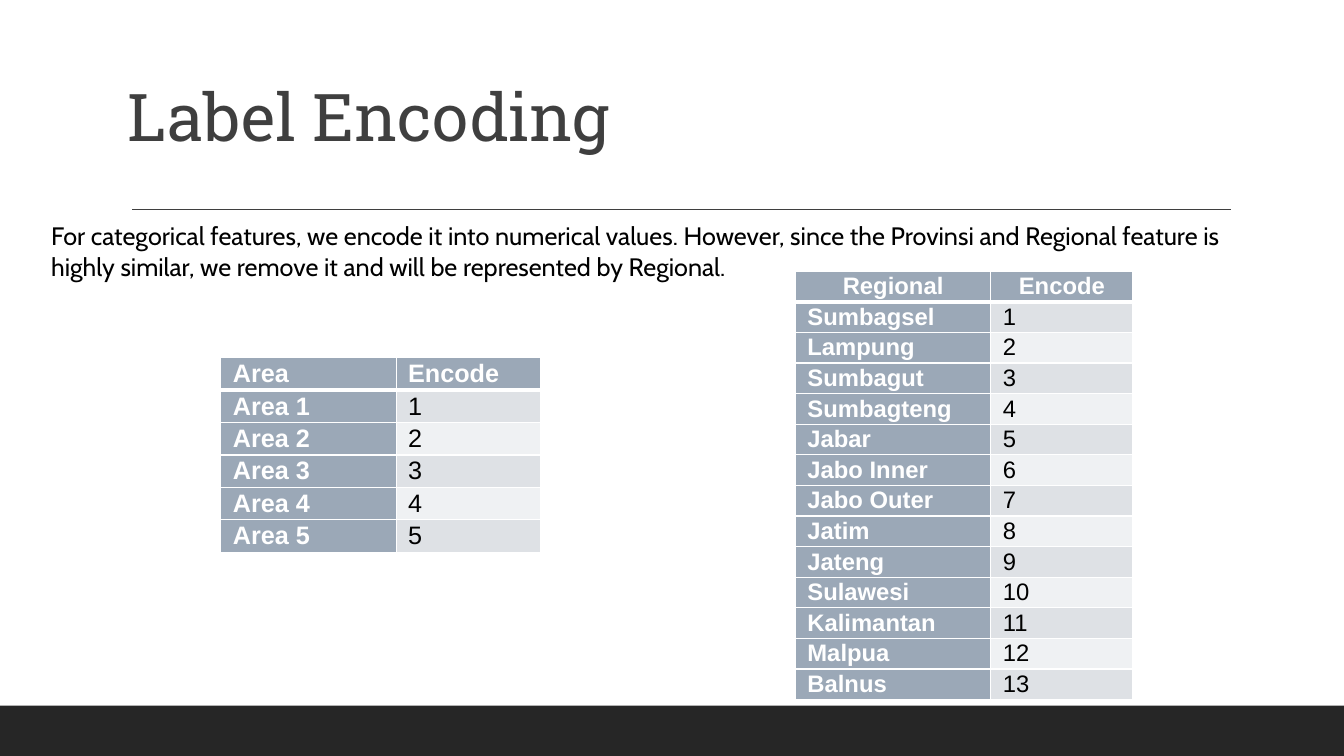
import pptx
import pptx.dml.color
import pptx.enum.shapes
import pptx.enum.text
import pptx.oxml
import pptx.oxml.ns
import pptx.util

ALIGN = pptx.enum.text.PP_ALIGN
ANCHOR = pptx.enum.text.MSO_ANCHOR
COLORS = {"ink": "3F3F3F", "black": "000000", "white": "FFFFFF", "footer": "262626",
          "label": "9BA8B7", "odd": "DEE1E5", "even": "EFF1F3"}
AREAS = [f"Area {n}" for n in range(1, 6)]
REGIONS = ["Sumbagsel", "Lampung", "Sumbagut", "Sumbagteng", "Jabar", "Jabo Inner", "Jabo Outer",
           "Jatim", "Jateng", "Sulawesi", "Kalimantan", "Malpua", "Balnus"]
INTRO = ("For categorical features, we encode it into numerical values. However, since the Provinsi "
         "and Regional feature is highly similar, we remove it and will be represented by Regional.")


class Deck:
    """Draws styled elements on a slide laid out in grid cells of a tenth of an inch."""

    def __init__(self, cols, rows):
        self.prs = pptx.Presentation()
        self.prs.slide_width, self.prs.slide_height = self.grid(cols, rows)
        self.s = self.prs.slides.add_slide(self.prs.slide_layouts[6])

    def grid(self, *cells):
        return [pptx.util.Inches(c / 10) for c in cells]

    def color(self, name):
        return pptx.dml.color.RGBColor.from_string(COLORS[name])

    def paint(self, fill, name):
        fill.solid()
        fill.fore_color.rgb = self.color(name)

    def typeset(self, tf, text, font, size, color, bold=False, frame=None, para=None):
        p = tf.paragraphs[0]
        r = p.add_run()
        r.text = text
        r.font.color.rgb = self.color(color)
        style = {"name": font, "size": pptx.util.Pt(size), "bold": bold}
        for target, values in ((tf, frame or {}), (p, para or {}), (r.font, style)):
            for key, value in values.items():
                setattr(target, key, value)

    def bar(self, box, color):
        sp = self.s.shapes.add_shape(pptx.enum.shapes.MSO_SHAPE.RECTANGLE, *self.grid(*box))
        sp.shadow.inherit = False
        self.paint(sp.fill, color)
        sp.line.fill.background()

    def rule(self, ends, color):
        sp = self.s.shapes.add_connector(pptx.enum.shapes.MSO_CONNECTOR.STRAIGHT, *self.grid(*ends))
        sp.line.color.rgb = self.color(color)
        sp.line.width = pptx.util.Pt(1)
        sp._element.spPr.append(pptx.oxml.parse_xml(f"<a:effectLst {pptx.oxml.ns.nsdecls('a')}/>"))

    def text(self, box, text, font, size, color, frame, para=None):
        tf = self.s.shapes.add_textbox(*self.grid(*box)).text_frame
        self.typeset(tf, text, font, size, color, frame={"word_wrap": True, **frame}, para=para)

    def border(self, cell, widths):
        for side, width in zip("LRTB", widths):
            cell._tc.get_or_add_tcPr().append(pptx.oxml.parse_xml(
                f'<a:ln{side} {pptx.oxml.ns.nsdecls("a")} w="{pptx.util.Pt(width)}"><a:solidFill>'
                f'<a:srgbClr val="{COLORS["white"]}"/></a:solidFill></a:ln{side}>'))

    def table(self, at, widths, heading, labels, size, head_align):
        rows = [(heading, "Encode")] + [(label, str(n)) for n, label in enumerate(labels, 1)]
        box = self.grid(*at, sum(widths), 3 * len(rows))
        t = self.s.shapes.add_table(len(rows), 2, *box).table
        t.horz_banding = False
        for col, width in zip(t.columns, self.grid(*widths)):
            col.width = width
        for i, row in enumerate(rows):
            t.rows[i].height = self.grid(3)[0]
            for j, text in enumerate(row):
                cell = t.cell(i, j)
                dark = i == 0 or j == 0
                self.border(cell, (1, 1, 3 if i == 1 else 1, 3 if i == 0 else 1))
                self.paint(cell.fill, "label" if dark else "odd" if i % 2 else "even")
                margins = self.grid(1.2, 1.2, 0, 0)
                for side, margin in zip(("left", "right", "top", "bottom"), margins):
                    setattr(cell, f"margin_{side}", margin)
                align = ALIGN.JUSTIFY if i else head_align
                self.typeset(cell.text_frame, text, "Arial", size, "white" if dark else "black", dark,
                             para={"alignment": align, "line_spacing": 1.07})


def main():
    deck = Deck(133.33, 75)
    deck.bar((0, 70, 133.33, 5), "footer")
    deck.rule((13.1, 20.8, 122.1, 20.8), "ink")
    deck.text((11.7, 0, 110, 15.9), "Label Encoding", "Roboto Slab", 47, "ink",
              {"vertical_anchor": ANCHOR.BOTTOM}, {"line_spacing": 0.9})
    deck.text((4.1, 21.4, 121.7, 7.1), INTRO, "Cabin", 18, "black",
              {"auto_size": pptx.enum.text.MSO_AUTO_SIZE.SHAPE_TO_FIT_TEXT})
    deck.table((21.9, 35.5), (17.4, 14.3), "Area", AREAS, 18, ALIGN.JUSTIFY)
    deck.table((78.9, 26.9), (19.4, 14.1), "Regional", REGIONS, 17, ALIGN.CENTER)
    deck.prs.save("out.pptx")


if __name__ == "__main__":
    main()
